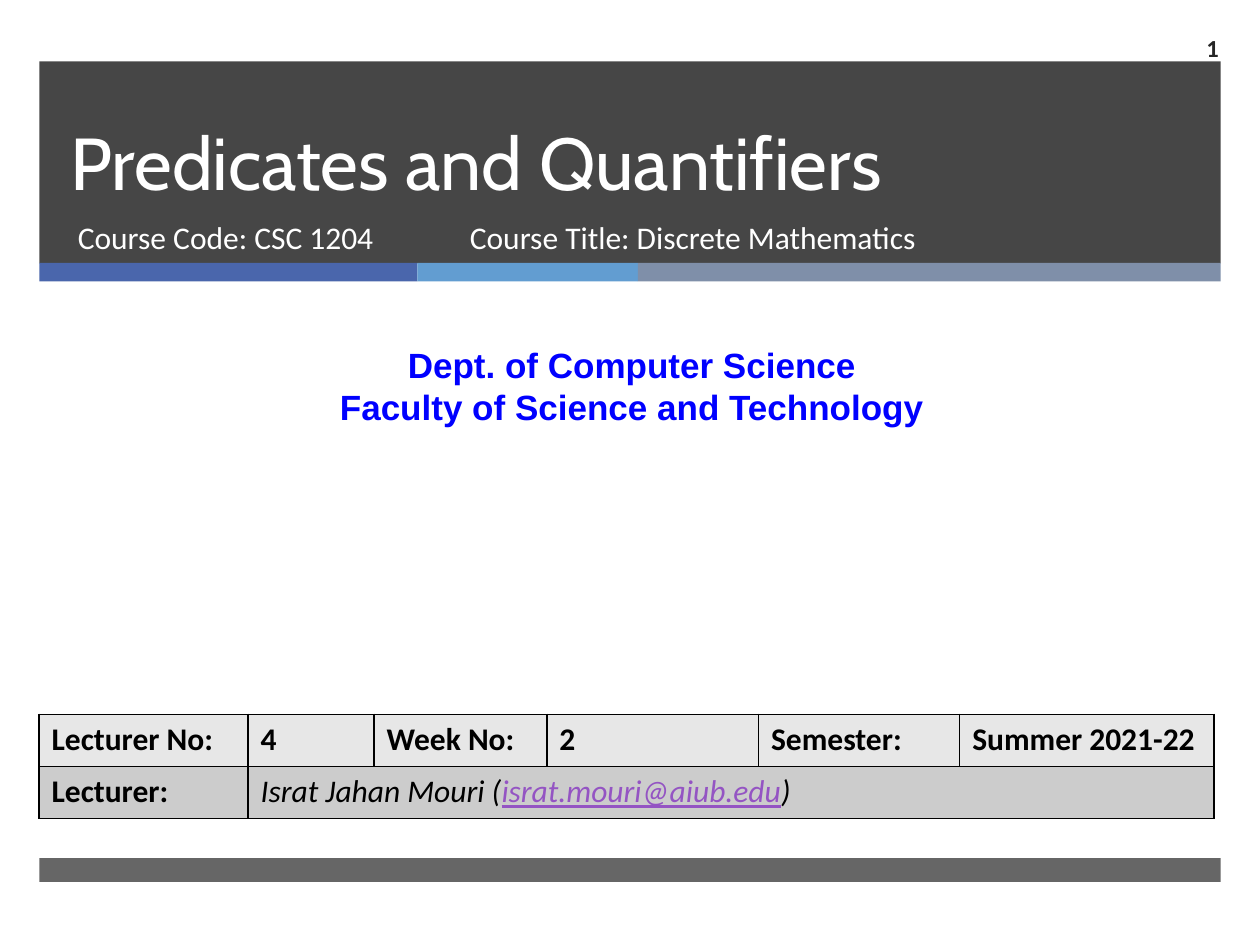
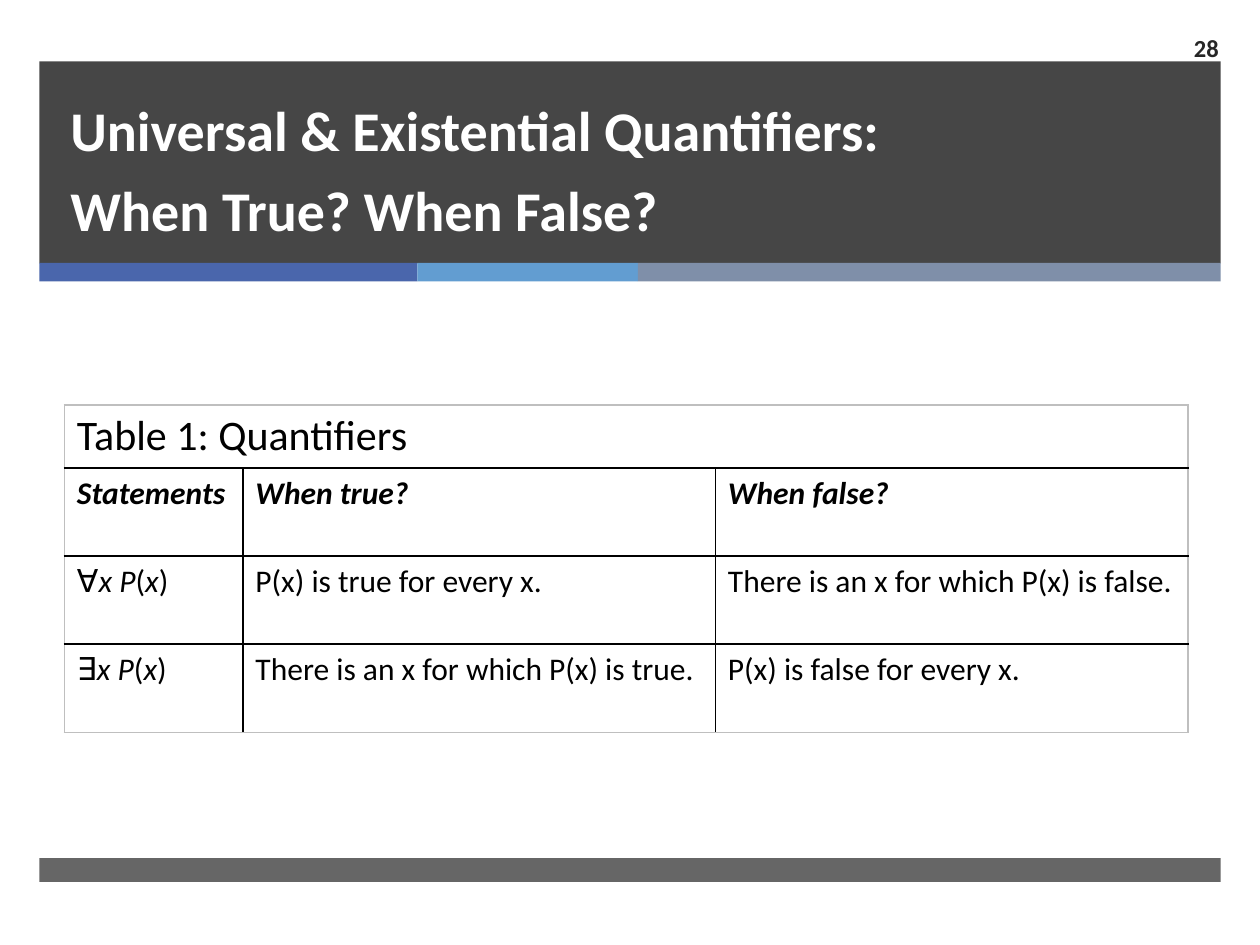
"""Build two lecture slides on predicates and quantifiers."""
from typing import NamedTuple

from lxml import etree
from pptx import Presentation
from pptx import util as u
from pptx.dml import color
from pptx.enum import shapes, text
from pptx.oxml import ns

Pt = u.Pt
RGBColor = color.RGBColor

WHITE = RGBColor(0xFF, 0xFF, 0xFF)
BLACK = RGBColor(0x00, 0x00, 0x00)
DARK = RGBColor(0x26, 0x26, 0x26)
NAVY = RGBColor(0x4A, 0x66, 0xAC)
SKY = RGBColor(0x62, 0x9D, 0xD1)
SLATE = RGBColor(0x7F, 0x8F, 0xA9)
BLUE = RGBColor(0x00, 0x00, 0xFF)
VIOLET = RGBColor(0x94, 0x54, 0xC3)
PALE = RGBColor(0xE7, 0xE7, 0xE7)
GREY = RGBColor(0xCC, 0xCC, 0xCC)
EDGE = RGBColor(0xBF, 0xBF, 0xBF)

LEFT, WIDE = 22.5, 675
LEAD, SANS, BODY = "Cabin", "Arial", "Calibri"


class Box(NamedTuple):
    """A place on the slide, in points."""
    left: float
    top: float
    width: float
    height: float


class Band(NamedTuple):
    """A filled bar with an opacity in percent."""
    box: Box
    ink: RGBColor
    alpha: int = 100


class Style(NamedTuple):
    """The look of a run of text."""
    size: float = 18
    ink: RGBColor = BLACK
    bold: bool = False
    ital: bool = False
    line: bool = False
    face: str = BODY


class Span(NamedTuple):
    """A run of text with its style."""
    words: str
    style: Style = Style()


class Label(NamedTuple):
    """A free text box."""
    box: Box
    words: str
    style: Style
    align: text.PP_ALIGN = text.PP_ALIGN.LEFT
    anchor: text.MSO_ANCHOR = text.MSO_ANCHOR.TOP


class Grid(NamedTuple):
    """A table whose short rows stretch their last cell to the right edge."""
    left: float
    top: float
    cols: list[float]
    highs: list[float]
    rows: list[list[list[Span]]]
    fills: list[RGBColor]
    edge: RGBColor


BANDS = [
    Band(Box(LEFT, 35, WIDE, 115.5), DARK, 85),
    Band(Box(LEFT, 150.3, 216, 10.5), NAVY),
    Band(Box(LEFT + 216, 150.3, 126, 10.5), SKY),
    Band(Box(LEFT + 342, 150.3, 333, 10.5), SLATE),
    Band(Box(LEFT, 490.3, WIDE, 13.7), DARK, 70),
]

BOLD = Style(bold=True)
ITAL = Style(ital=True)
HEAD = Style(bold=True, ital=True)
COURSE = Style(ink=WHITE)

COVER = [
    Label(Box(37.4, 121, 219.6, 38), "Course Code: CSC 1204", COURSE),
    Label(Box(5.8, 193, 710.6, 55.4),
          "Dept. of Computer Science\nFaculty of Science and Technology",
          Style(20, BLUE, bold=True, face=SANS), text.PP_ALIGN.CENTER),
    Label(Box(261.4, 121.2, 327.6, 38), "Course Title: Discrete Mathematics", COURSE),
]

FACTS = ["Lecturer No:", "4", "Week No:", "2", "Semester:", "Summer 2021-22"]
CLASS = Grid(
    22.3, 408.2, [119.5, 72, 98.7, 121, 115, 145.3], [29.8] * 2,
    [
        [[Span(fact, BOLD)] for fact in FACTS],
        [
            [Span("Lecturer:", BOLD)],
            [Span("Israt Jahan Mouri (", ITAL),
             Span("israt.mouri@aiub.edu", Style(ink=VIOLET, ital=True, line=True)),
             Span(")", ITAL)],
        ],
    ],
    [PALE, GREY], BLACK)


def claim(sign: str) -> list[Span]:
    """Return the spans of a quantified statement."""
    return [Span(sign), Span("x P", ITAL), Span("("), Span("x", ITAL), Span(")")]


TRUTH = Grid(
    36.8, 231.3, [102, 270, 270], [36] + [50.4] * 3,
    [
        [[Span("Table 1: Quantifiers", Style(24))]],
        [[Span(head, HEAD)] for head in ("Statements", "When true?", "When false?")],
        [claim("∀"), [Span("P(x) is true for every x.")],
         [Span("There is an x for which P(x) is false.")]],
        [claim("∃"), [Span("There is an x for which P(x) is true.")],
         [Span("P(x) is false for every x.")]],
    ],
    [WHITE] * 4, EDGE)


def points(box: Box) -> list[u.Length]:
    """Turn a box into lengths."""
    return [Pt(side) for side in box]


def dress(font, style: Style) -> None:
    """Give a font the chosen style."""
    font.name, font.size = style.face, Pt(style.size)
    font.bold, font.italic, font.underline = style.bold, style.ital, style.line
    font.color.rgb = style.ink


def draw_band(slide, band: Band):
    """Draw one bar and return it."""
    bar = slide.shapes.add_shape(shapes.MSO_SHAPE.RECTANGLE, *points(band.box))
    bar.shadow.inherit = False
    bar.line.fill.background()
    bar.fill.solid()
    bar.fill.fore_color.rgb = band.ink
    if band.alpha < 100:
        tint = bar.element.xpath("./p:spPr/a:solidFill/a:srgbClr")[0]
        etree.SubElement(tint, ns.qn("a:alpha"), val=str(band.alpha * 1000))
    return bar


def set_base(slide, layout) -> None:
    """Move the shared bars to the layout, in place of its footer fields."""
    for field in list(layout.placeholders):
        if field.placeholder_format.idx:
            field.element.getparent().remove(field.element)
    for band in BANDS:
        layout.shapes.element.append(draw_band(slide, band).element)


def set_title(slide, top: float, words: str, style: Style) -> None:
    """Place and format the title."""
    title = slide.shapes.title
    title.left, title.top, title.width, title.height = points(Box(33, top, 615, 85.7))
    frame = title.text_frame
    frame.auto_size = text.MSO_AUTO_SIZE.NONE
    frame.vertical_anchor = text.MSO_ANCHOR.BOTTOM
    para = frame.paragraphs[0]
    para.text = words
    para.alignment = text.PP_ALIGN.LEFT
    para.line_spacing = Pt(46)
    for run in para.runs:
        dress(run.font, style)


def draw_label(slide, label: Label) -> None:
    """Draw one text box."""
    frame = slide.shapes.add_textbox(*points(label.box)).text_frame
    frame.word_wrap = True
    frame.vertical_anchor = label.anchor
    frame.text = label.words
    for para in frame.paragraphs:
        para.alignment = label.align
        for run in para.runs:
            dress(run.font, label.style)


def draw_edge(cell, side: str, ink: RGBColor) -> None:
    """Draw one border of a cell."""
    props = cell._tc.get_or_add_tcPr()
    line = etree.SubElement(props, ns.qn(f"a:ln{side}"), w=str(Pt(1)))
    fill = etree.SubElement(line, ns.qn("a:solidFill"))
    etree.SubElement(fill, ns.qn("a:srgbClr"), val=str(ink))


def draw_grid(slide, grid: Grid) -> None:
    """Draw a table with its borders, fills and text."""
    high, wide = len(grid.highs), len(grid.cols)
    box = Box(grid.left, grid.top, sum(grid.cols), sum(grid.highs))
    table = slide.shapes.add_table(high, wide, *points(box)).table
    table.first_row = table.horz_banding = False
    for col, width in zip(table.columns, grid.cols):
        col.width = Pt(width)
    for row, height in zip(table.rows, grid.highs):
        row.height = Pt(height)
    for y, row in enumerate(grid.rows):
        if len(row) < wide:
            table.cell(y, len(row) - 1).merge(table.cell(y, wide - 1))
        for x in range(wide):
            cell = table.cell(y, x)
            last = x + cell.span_width == wide
            outer = {"L": x == 0, "R": last, "T": y == 0, "B": y == high - 1}
            for side, rim in outer.items():
                draw_edge(cell, side, grid.edge if rim else BLACK)
            cell.fill.solid()
            cell.fill.fore_color.rgb = grid.fills[y]
        for x, spans in enumerate(row):
            para = table.cell(y, x).text_frame.paragraphs[0]
            for span in spans:
                run = para.add_run()
                run.text = span.words
                dress(run.font, span.style)


def draw_page(slide, page: int) -> None:
    """Draw the page number."""
    draw_label(slide, Label(Box(653.8, 13.5, 49.7, 28), str(page),
                            Style(14, DARK, bold=True),
                            text.PP_ALIGN.RIGHT, text.MSO_ANCHOR.MIDDLE))


def main() -> None:
    """Build and save the deck."""
    deck = Presentation()
    deck.slide_width, deck.slide_height = Pt(720), Pt(540)
    layout = deck.slide_layouts[5]

    cover = deck.slides.add_slide(layout)
    set_base(cover, layout)
    set_title(cover, 35.3, "Predicates and Quantifiers", Style(42, WHITE, face=LEAD))
    for label in COVER:
        draw_label(cover, label)
    draw_grid(cover, CLASS)
    draw_page(cover, 1)

    truth = deck.slides.add_slide(layout)
    set_title(truth, 56.9,
              "Universal & Existential Quantifiers:\vWhen True? When False?",
              Style(32, WHITE, bold=True))
    draw_page(truth, 28)
    draw_grid(truth, TRUTH)
    deck.save("out.pptx")


if __name__ == "__main__":
    main()
